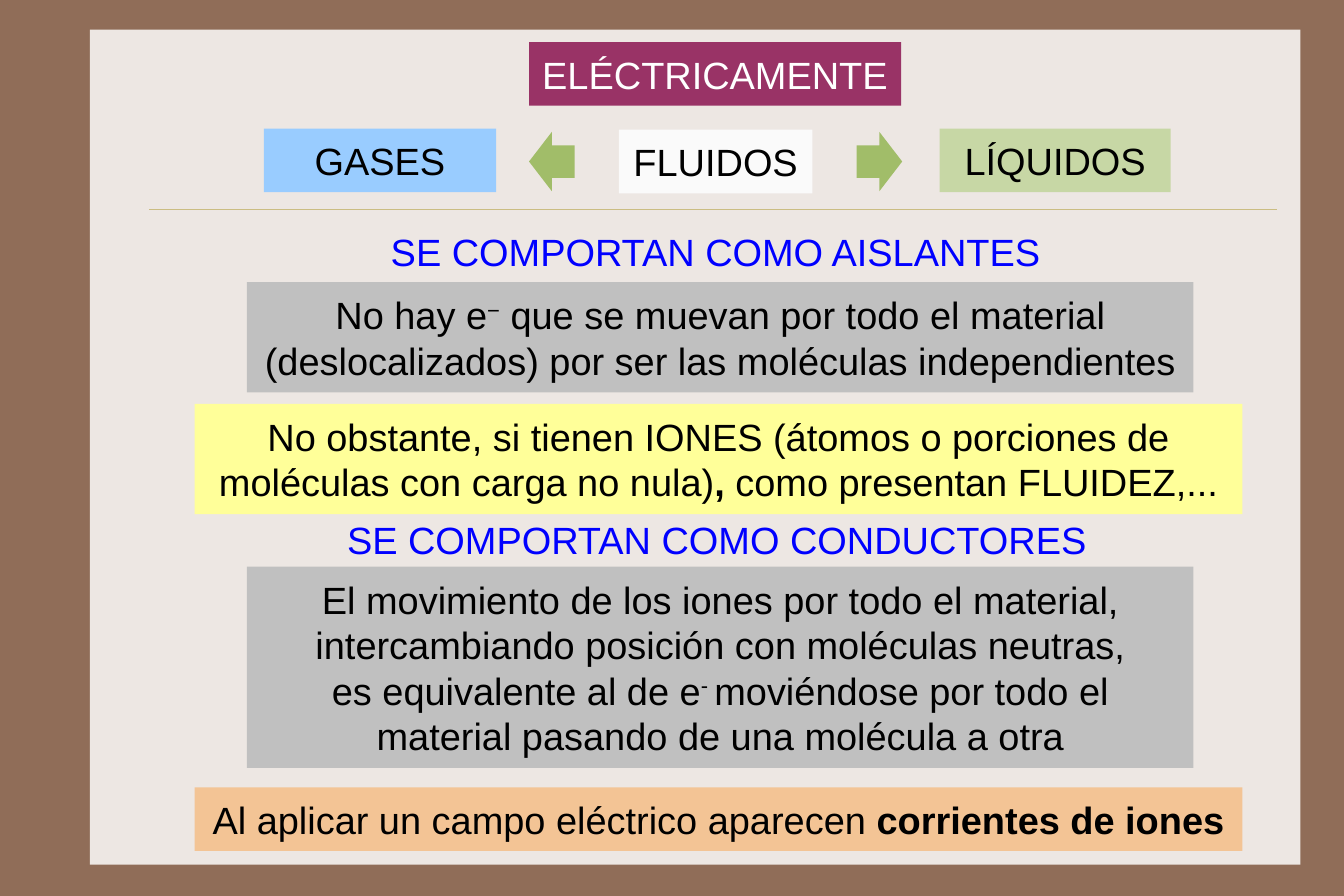
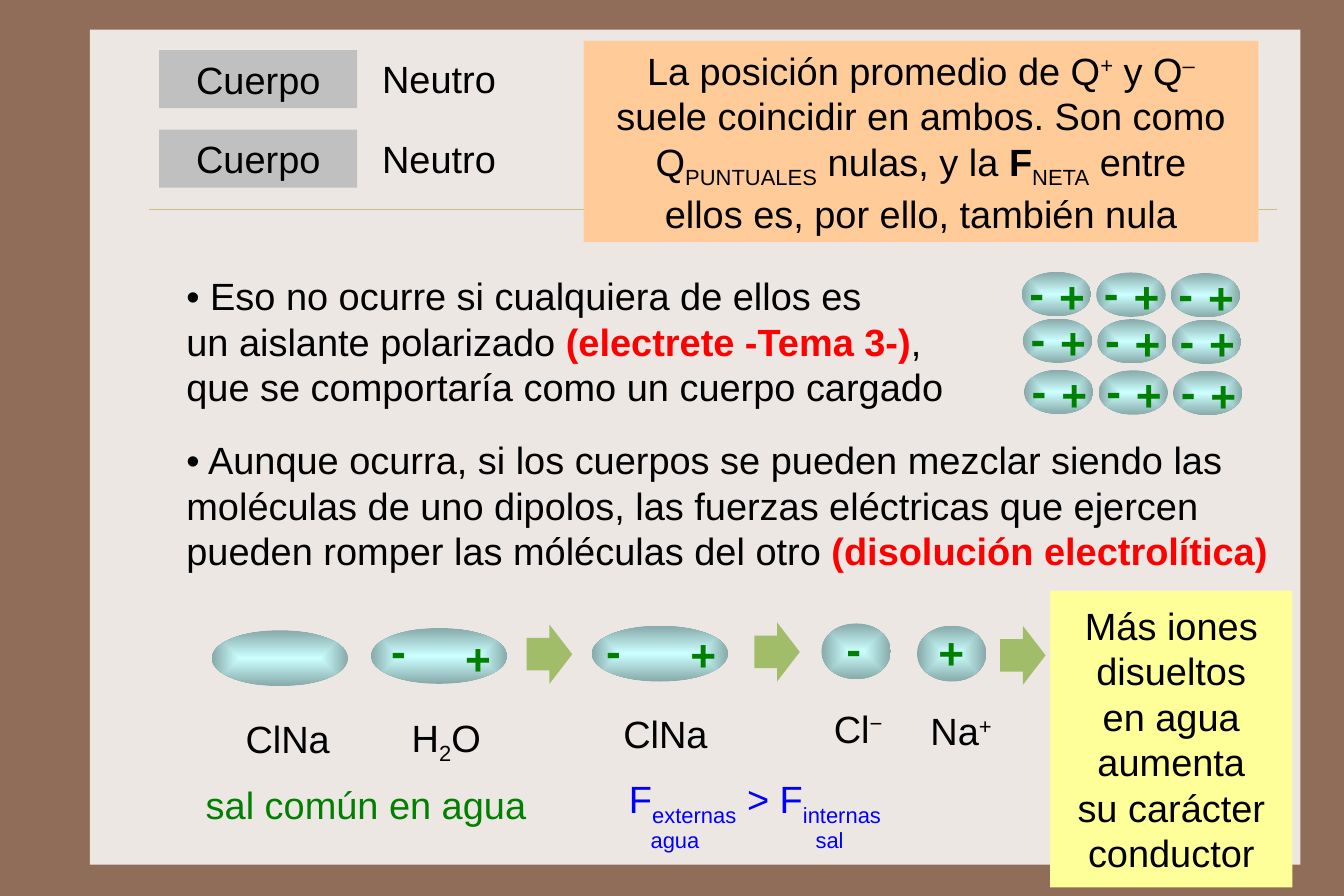
from lxml import etree
from pptx import Presentation, util as u
from pptx.dml.color import RGBColor
from pptx.enum import shapes, text as t
from pptx.oxml import ns

# Places are counted in square cells: about 118 columns by 79 rows
CELL = u.Inches(0.1)
SLIDE_WIDTH, SLIDE_HEIGHT = u.Pt(850.5), u.Pt(567)
FONT = "Arial"
COLORS = {
    "border": "906D58", "paper": "EDE7E3", "rule": "CBBD83",
    "black": "000000", "white": "FFFFFF", "blue": "0000FF",
    "green": "008000", "red": "FF0000", "arrow": "A1BD69",
    "plum": "993366", "pale": "FAFAFA", "lime": "C7D7A5", "sky": "99CCFF",
    "yellow": "FFFF99", "gray": "C0C0C0", "orange": "F3C495",
    "peach": "FFCC99", "glow": "CCFFFF", "shade": "87A9A9",
}
ARROW_SIZE = (4, 5.2)
ION_SIZE = (6.1, 4.9)
MOLECULE_SIZE = (12, 4.9)
LABEL_SIZE = (12, 5)
SIGN_WIDTH = {"+": 4.3, "-": 3.3}


def color(name):
    return RGBColor.from_string(COLORS[name])


def cells(*counts):
    return [round(count * CELL) for count in counts]


# Text spans with their own format
def raised(words):
    return words, {"baseline": 30}


def lowered(words):
    return words, {"baseline": -25}


def strong(words, ink="black"):
    return words, {"bold": True, "ink": ink}


def write_span(para, words, size, ink, bold=False, baseline=0):
    span = para.add_run()
    span.text = words
    span.font.name = FONT
    span.font.size = u.Pt(size)
    span.font.bold = bold
    span.font.color.rgb = color(ink)
    if baseline:
        span._r.get_or_add_rPr().set("baseline", str(baseline * 1000))


def write(box, paragraphs, size=24, ink="black", bold=False, center=True,
          middle=True, wrap=True, inset=(1.2, 0.8), spacing=None):
    """Fill a box; a paragraph is a string or a list of spans, "\\n" breaks."""
    frame = box.text_frame
    frame.word_wrap = wrap
    frame.vertical_anchor = t.MSO_ANCHOR.MIDDLE if middle else t.MSO_ANCHOR.TOP
    frame.margin_left, frame.margin_top = cells(*inset)
    frame.margin_right, frame.margin_bottom = cells(*inset)
    if isinstance(paragraphs, str):
        paragraphs = [paragraphs]
    for index, spans in enumerate(paragraphs):
        para = frame.paragraphs[0] if index == 0 else frame.add_paragraph()
        para.alignment = t.PP_ALIGN.CENTER if center else t.PP_ALIGN.LEFT
        if spacing:
            para.line_spacing = spacing
        for span in [spans] if isinstance(spans, str) else spans:
            if span == "\n":
                para.add_line_break()
                continue
            words, own = (span, {}) if isinstance(span, str) else span
            write_span(para, words, **{"size": size, "ink": ink, "bold": bold, **own})


# Kinds of element
def add_shape(page, kind, place, fill=None):
    shape = page.shapes.add_shape(kind, *cells(*place))
    shape.shadow.inherit = False
    shape.line.fill.background()
    if fill:
        shape.fill.solid()
        shape.fill.fore_color.rgb = color(fill)
    return shape


def add_panel(page, place, fill, paragraphs, **style):
    panel = add_shape(page, shapes.MSO_SHAPE.RECTANGLE, place, fill)
    write(panel, paragraphs, **style)


def add_text(page, place, paragraphs, **style):
    box = page.shapes.add_textbox(*cells(*place))
    write(box, paragraphs, **{"center": False, "middle": False,
                              "inset": (1, 0.5), **style})


def add_arrow(page, column, row, kind=shapes.MSO_SHAPE.RIGHT_ARROW):
    arrow = add_shape(page, kind, (column, row, *ARROW_SIZE), "arrow")
    arrow.adjustments[0], arrow.adjustments[1] = 0.55, 0.5


def add_particle(page, column, row, size, signs=()):
    """Shaded ellipse; signs are (sign, column offset, row offset)."""
    ellipse = add_shape(page, shapes.MSO_SHAPE.OVAL, (column, row, *size))
    ellipse.fill.gradient()
    for stop, position, name in zip(ellipse.fill.gradient_stops, (0, 1), ("glow", "shade")):
        stop.position = position
        stop.color.rgb = color(name)
    # Replace the linear direction with one that spreads from the centre
    gradient = ellipse._element.spPr.find(ns.qn("a:gradFill"))
    gradient.remove(gradient.find(ns.qn("a:lin")))
    spread = etree.SubElement(gradient, ns.qn("a:path"), {"path": "shape"})
    etree.SubElement(spread, ns.qn("a:fillToRect"), dict.fromkeys("ltrb", "50000"))
    for sign, right, down in signs:
        add_text(page, (column + right, row + down, SIGN_WIDTH[sign], 5.7), sign,
                 size=28, ink="green", bold=True, wrap=False)


def add_page(deck):
    page = deck.slides.add_slide(deck.slide_layouts[6])
    add_shape(page, shapes.MSO_SHAPE.RECTANGLE, (7.9, 2.6, 106.4, 73.4), "paper")
    rule = page.shapes.add_connector(shapes.MSO_CONNECTOR.STRAIGHT,
                                     *cells(13.1, 18.4, 112.2, 18.4))
    rule.line.color.rgb = color("rule")
    rule.line.width = u.Pt(0.25)
    etree.SubElement(rule._element.spPr, ns.qn("a:effectLst"))
    return page


def build_fluids(deck):
    page = add_page(deck)
    # Heading and the two kinds of fluid
    for place, fill, words, ink in (
        ((46.5, 3.7, 32.7, 5.6), "plum", "ELÉCTRICAMENTE", "white"),
        ((54.4, 11.4, 17, 5.6), "pale", "FLUIDOS", "black"),
        ((82.6, 11.3, 20.3, 5.6), "lime", "LÍQUIDOS", "black"),
        ((23.2, 11.3, 20.4, 5.6), "sky", "GASES", "black"),
    ):
        add_panel(page, place, fill, words, ink=ink, wrap=False)
    add_arrow(page, 46.5, 11.6, shapes.MSO_SHAPE.LEFT_ARROW)
    add_arrow(page, 75.3, 11.6)

    # Insulators
    add_text(page, (32.2, 19.3, 61.4, 5.6), "SE COMPORTAN COMO AISLANTES",
             ink="blue", center=True, middle=True)
    add_panel(page, (21.7, 24.8, 83.2, 9.7), "gray", [[
        "No hay e", raised("−"), " que se muevan por todo el material "
        "(deslocalizados) por ser las moléculas independientes"]])
    add_panel(page, (17.1, 35.5, 92.1, 9.7), "yellow", [[
        "No obstante, si tienen IONES (átomos o porciones de moléculas con "
        "carga no nula)", strong(","), " como presentan FLUIDEZ,..."]])

    # Conductors
    add_text(page, (26.9, 44.9, 72.2, 5.1), "SE COMPORTAN COMO CONDUCTORES",
             ink="blue", center=True)
    add_panel(page, (21.7, 49.8, 83.2, 17.7), "gray", [
        "El movimiento de los iones por todo el material, intercambiando "
        "posición con moléculas neutras,",
        ["es equivalente al de e", raised("- "),
         "moviéndose por todo el material pasando de una molécula a otra"]])
    add_panel(page, (17.1, 69.2, 92.1, 5.6), "orange", [[
        "Al aplicar un campo eléctrico aparecen ", strong("corrientes de iones")]])


def build_dissolution(deck):
    page = add_page(deck)
    # Neutral bodies
    for row in (4.4, 11.4):
        add_panel(page, (14, row, 17.4, 5.1), "gray", "Cuerpo", inset=(1, 0.5))
        add_text(page, (32.6, row, 14, 5.1), "Neutro")
    add_panel(page, (51.3, 3.6, 59.3, 17.7), "peach", [
        ["La posición promedio de Q", raised("+"), " y Q", raised("–"),
         " suele coincidir en ambos. Son como Q", lowered("PUNTUALES"),
         " nulas, y la ", strong("F"), lowered("NETA"), " entre"],
        "ellos es, por ello, también nula"])

    # Exceptions
    add_text(page, (15.4, 23.5, 70.7, 13.1), [[
        "• Eso no ocurre si cualquiera de ellos es", "\n",
        "un aislante polarizado ", strong("(electrete -Tema 3-)", "red"),
        ", que se comportaría como un cuerpo cargado"]])
    add_text(page, (15.4, 37.9, 97.4, 13.2), [[
        "• Aunque ocurra, si los cuerpos se pueden mezclar siendo las moléculas "
        "de uno dipolos, las fuerzas eléctricas que ejercen pueden romper las "
        "móléculas del otro ", strong("(disolución electrolítica)", "red")]])

    # Polarized material: a slightly tilted block of dipoles
    for line, row in enumerate((23.9, 28, 32.5)):
        for column in range(3):
            add_particle(page, 89.8 + 6.55 * column + 0.1 * line, row + 0.05 * column,
                         (6.1, 3.9), [("+", 2.3, -0.75), ("-", -0.3, -1.1)])

    # Salt dissolving in water
    for column, row, size, signs in (
        (18.6, 55.4, MOLECULE_SIZE, []),
        (32.6, 55.2, MOLECULE_SIZE, [("-", 0.8, -0.9), ("+", 7.3, -0.2)]),
        (52, 55, MOLECULE_SIZE, [("-", 0.3, -0.7), ("+", 7.7, -0.4)]),
        (72.2, 54.8, ION_SIZE, [("-", 1.2, -0.7)]),
        (80.6, 55, ION_SIZE, [("+", 0.9, -0.5)]),
    ):
        add_particle(page, column, row, size, signs)
    for column, row in ((46.3, 54.9), (66.3, 54.7), (87.9, 55)):
        add_arrow(page, column, row)
    for column, row, spans in (
        (20.6, 62.4, ["ClNa"]),
        (35.2, 62.3, ["H", lowered("2"), "O"]),
        (53.8, 62, ["ClNa"]),
        (72.3, 61.5, ["Cl", raised("−")]),
        (80.8, 61.7, ["Na", raised("+")]),
    ):
        add_text(page, (column, row, *LABEL_SIZE), [spans])

    # Conditions and outcome
    add_text(page, (17.1, 67.8, 38, 5.5), "sal común en agua", ink="green", spacing=1.1)
    add_text(page, (54.3, 67.7, 26.5, 5), [[
        "F", lowered("externas"), " > F", lowered("internas")]], ink="blue")
    for column, words in ((56.2, "agua"), (70.7, "sal")):
        add_text(page, (column, 69.9, 9, 5), [[lowered(words)]], ink="blue")
    add_panel(page, (92.3, 51.9, 21.3, 26.1), "yellow", [
        "Más iones disueltos", "en agua", "aumenta", "su carácter conductor"],
        inset=(1, 0.9))


def main():
    deck = Presentation()
    deck.slide_width, deck.slide_height = SLIDE_WIDTH, SLIDE_HEIGHT
    backdrop = deck.slide_master.background.fill
    backdrop.solid()
    backdrop.fore_color.rgb = color("border")
    build_fluids(deck)
    build_dissolution(deck)
    deck.save("out.pptx")


if __name__ == "__main__":
    main()
